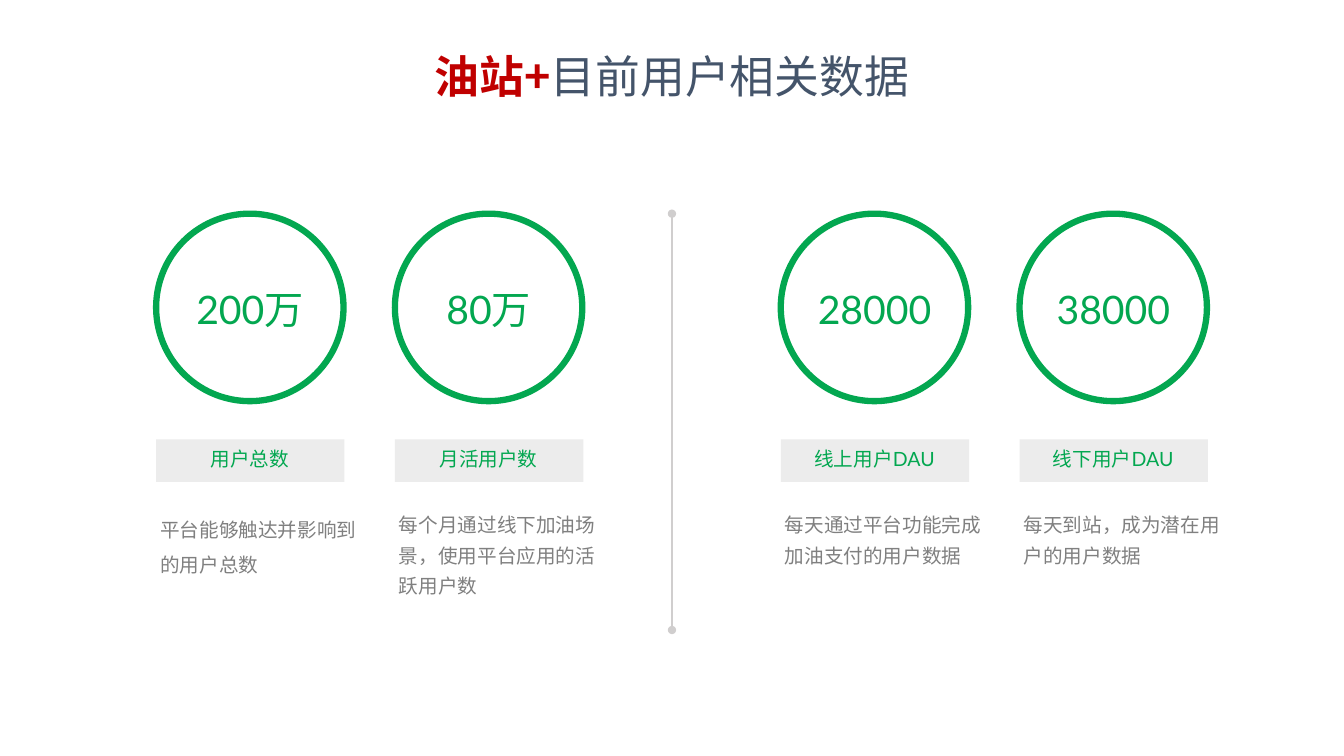
"""Build the slide of user figures: four ringed numbers in two pairs."""
from lxml import etree
from pptx import Presentation
from pptx.dml.color import RGBColor
from pptx.enum.shapes import MSO_CONNECTOR, MSO_SHAPE
from pptx.enum.text import MSO_ANCHOR, PP_ALIGN
from pptx.oxml.ns import qn
from pptx.util import Inches, Pt

OVAL, RECT, STRAIGHT = MSO_SHAPE.OVAL, MSO_SHAPE.RECTANGLE, MSO_CONNECTOR.STRAIGHT
LEFT, CENTER = PP_ALIGN.LEFT, PP_ALIGN.CENTER
TOP, MIDDLE = MSO_ANCHOR.TOP, MSO_ANCHOR.MIDDLE

TITLE = [("油站+", "red", True), ("目前用户相关数据", "slate", False)]
METRICS = [
    ("200万", "用户总数", "平台能够触达并影响到的用户总数", 1.5),
    ("80万", "月活用户数", "每个月通过线下加油场景，使用平台应用的活跃用户数", 1.3),
    ("28000", "线上用户DAU", "每天通过平台功能完成加油支付的用户数据", 1.3),
    ("38000", "线下用户DAU", "每天到站，成为潜在用户的用户数据", 1.3),
]
COLORS = {"red": "C00000", "slate": "44546A", "green": "03A750",
          "gray": "808080", "band": "ECECEC", "rule": "D0CECE"}
LATO, CJK = "Lato", "Noto Sans CJK SC"

SLIDE_W, SLIDE_H = 13.34, 7.5
FIRST_LEFT, PAIR_STEP, GROUP_STEP = 1.55, 2.37, 6.2
RING, RING_TOP = 1.86, 2.12
NUMBER_W, NUMBER_H, NUMBER_TOP = 1.35, 0.88, 2.65
BAND_W, BAND_H, BAND_TOP = 1.87, 0.42, 4.36
LABEL_W, LABEL_H, LABEL_TOP = 1.84, 0.31, 4.41
NOTE_W, NOTE_H, NOTE_TOP, NOTE_INDENT = 2.05, 0.93, 5.02, 0.04
TITLE_W, TITLE_H, TITLE_TOP = 6.76, 0.59, 0.45
RULE_BOTTOM = 6.25


def rgb(name):
    return RGBColor.from_string(COLORS[name])


def add_text(slide, box, runs, size, font, align=CENTER, anchor=MIDDLE,
             spacing=0.9, inset=(0, 0)):
    frame = slide.shapes.add_textbox(*map(Inches, box)).text_frame
    frame.word_wrap = True
    frame.vertical_anchor = anchor
    frame.margin_left = frame.margin_right = Inches(inset[0])
    frame.margin_top = frame.margin_bottom = Inches(inset[1])
    line = frame.paragraphs[0]
    line.alignment, line.line_spacing = align, spacing
    line.font.size, line.font.name = Pt(size), font
    if len(runs) == 1:
        line.font.color.rgb = rgb(runs[0][1])
    defaults = line._p.pPr.find(qn("a:defRPr"))
    etree.SubElement(defaults, qn("a:ea")).set("typeface", CJK)
    for text, color, bold in runs:
        run = line.add_run()
        run.text = text
        if len(runs) > 1:
            run.font.color.rgb, run.font.bold = rgb(color), bold


def add_plain(slide, kind, box, fill=None, outline=None):
    shape = slide.shapes.add_shape(kind, *map(Inches, box))
    shape.shadow.inherit = False
    if fill:
        shape.fill.solid()
        shape.fill.fore_color.rgb = rgb(fill)
    else:
        shape.fill.background()
    if outline:
        shape.line.color.rgb = rgb(outline)
        shape.line.width = Pt(4.5)
    else:
        shape.line.fill.background()


def add_metric(slide, index, metric):
    number, label, note, spacing = metric
    group, member = divmod(index, 2)
    left = FIRST_LEFT + group * GROUP_STEP + member * PAIR_STEP
    middle = left + RING / 2
    add_plain(slide, OVAL, (left, RING_TOP, RING, RING), outline="green")
    add_text(slide, (middle - NUMBER_W / 2, NUMBER_TOP, NUMBER_W, NUMBER_H),
             [(number, "green", False)], 28, LATO)
    add_plain(slide, RECT, (left, BAND_TOP, BAND_W, BAND_H), fill="band")
    add_text(slide, (middle - LABEL_W / 2, LABEL_TOP, LABEL_W, LABEL_H),
             [(label, "green", False)], 14, LATO)
    add_text(slide, (left + NOTE_INDENT, NOTE_TOP, NOTE_W, NOTE_H),
             [(note, "gray", False)], 14, CJK, LEFT, TOP, spacing)


def add_divider(slide):
    x = Inches(SLIDE_W / 2)
    divider = slide.shapes.add_connector(
        STRAIGHT, x, Inches(RING_TOP), x, Inches(RULE_BOTTOM))
    divider.line.color.rgb = rgb("rule")
    divider.line.width = Pt(1.5)
    stroke = divider.line._get_or_add_ln()
    for end in ("a:headEnd", "a:tailEnd"):
        etree.SubElement(stroke, qn(end)).set("type", "oval")
    etree.SubElement(divider._element.spPr, qn("a:effectLst"))


def main():
    deck = Presentation()
    deck.slide_width, deck.slide_height = Inches(SLIDE_W), Inches(SLIDE_H)
    slide = deck.slides.add_slide(deck.slide_layouts[6])
    add_text(slide, ((SLIDE_W - TITLE_W) / 2, TITLE_TOP, TITLE_W, TITLE_H),
             TITLE, 32, CJK, anchor=TOP, spacing=1.0, inset=(0.05, 0.03))
    for index, metric in enumerate(METRICS):
        add_metric(slide, index, metric)
    add_divider(slide)
    deck.save("out.pptx")


if __name__ == "__main__":
    main()
